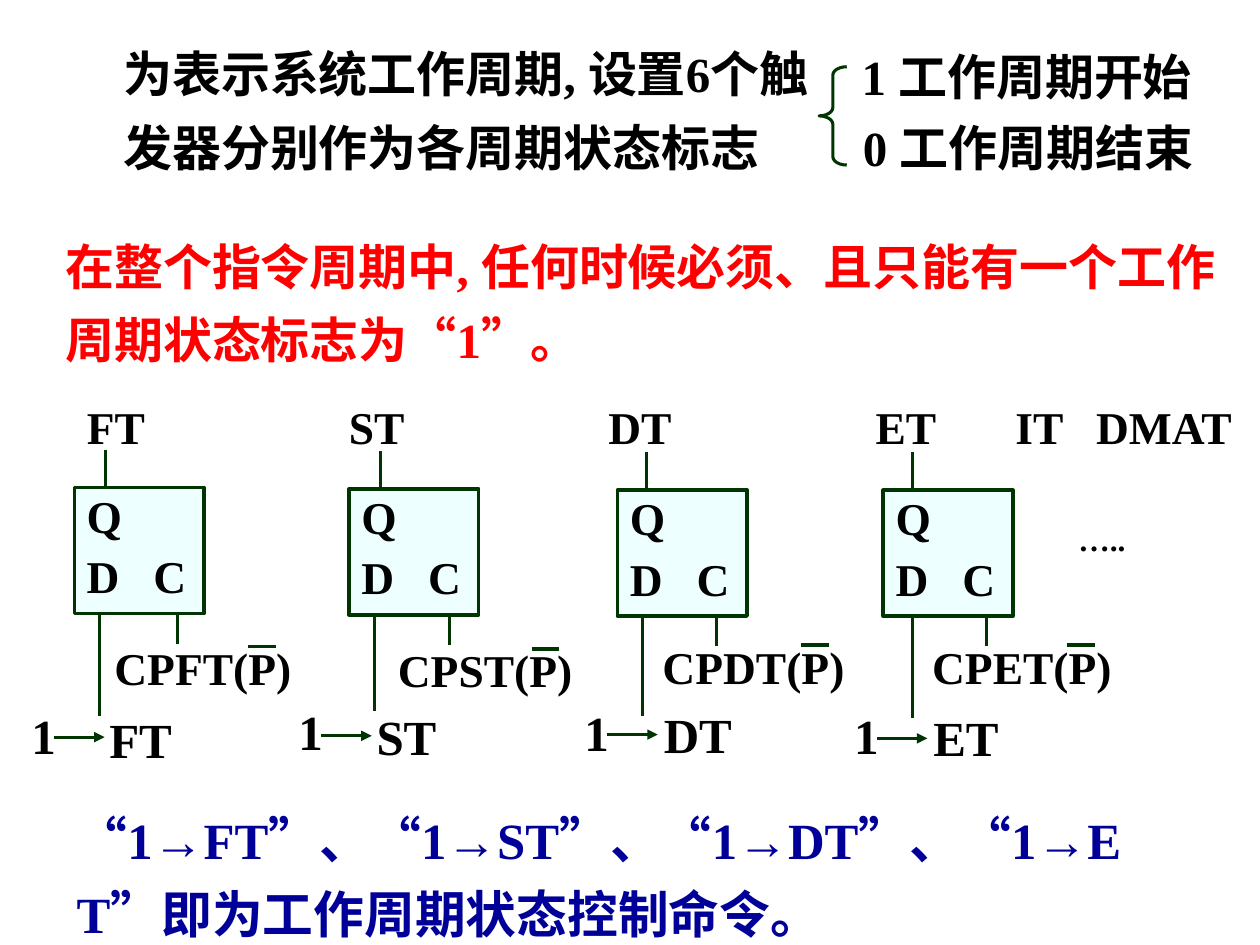
from lxml import etree
from pptx import Presentation
from pptx.dml.color import RGBColor
from pptx.enum.lang import MSO_LANGUAGE_ID
from pptx.enum.shapes import MSO_CONNECTOR, MSO_SHAPE
from pptx.enum.text import MSO_ANCHOR, PP_ALIGN
from pptx.oxml.ns import qn
from pptx.util import Inches, Pt

STRAIGHT = MSO_CONNECTOR.STRAIGHT
RECT = MSO_SHAPE.RECTANGLE
LEFT_BRACE = MSO_SHAPE.LEFT_BRACE
TOP = MSO_ANCHOR.TOP
LEFT = PP_ALIGN.LEFT
CHINESE = MSO_LANGUAGE_ID.SIMPLIFIED_CHINESE

BLACK = RGBColor(0x00, 0x00, 0x00)
RED = RGBColor(0xFF, 0x00, 0x00)
BLUE = RGBColor(0x00, 0x00, 0x99)
GREEN = RGBColor(0x00, 0x34, 0x00)
PALE = RGBColor(0xED, 0xFF, 0xFF)
FONT = "Times New Roman"

FLIP_FLOPS = [
    dict(name="FT", box=(0.59, 3.87), q=0.84, d=0.79, d_end=5.68, c=1.41,
         one=(0.15, 5.55), arrow_y=5.85, target=(0.77, 5.58),
         clock=(0.81, 5.03), bar=1.97),
    dict(name="ST", box=(2.77, 3.88), q=3.02, d=2.97, d_end=5.64, c=3.57,
         one=(2.27, 5.52), arrow_y=5.84, target=(2.89, 5.56),
         clock=(3.06, 5.05), bar=4.22),
    dict(name="DT", box=(4.9, 3.89), q=5.13, d=5.1, d_end=5.68, c=5.69,
         one=(4.54, 5.53), arrow_y=5.83, target=(5.17, 5.54),
         clock=(5.16, 5.02), bar=6.36),
    dict(name="ET", box=(7.01, 3.89), q=7.24, d=7.24, d_end=5.7, c=7.83,
         one=(6.68, 5.55), arrow_y=5.86, target=(7.31, 5.57),
         clock=(7.3, 5.02), bar=8.47),
]


def add_tabs(p, stops):
    tabs = etree.SubElement(p._p.get_or_add_pPr(), qn("a:tabLst"))
    for stop in stops:
        etree.SubElement(tabs, qn("a:tab"), pos=str(Inches(stop)), algn="l")


def write(p, text, size=26, color=BLACK, spacing=None, before=None, tabs=()):
    p.alignment = LEFT
    if spacing:
        p.line_spacing = spacing
    if before:
        p.space_before = before
    if tabs:
        add_tabs(p, tabs)
    r = p.add_run()
    r.text = text
    r.font.name = FONT
    r.font.size = Pt(size)
    r.font.bold = True
    r.font.color.rgb = color
    r.font.language_id = CHINESE


def add_text(slide, text, x, y, w, h, **fmt):
    tf = slide.shapes.add_textbox(Inches(x), Inches(y), Inches(w), Inches(h)).text_frame
    tf.word_wrap = True
    write(tf.paragraphs[0], text, **fmt)


def add_outline(slide, kind, x, y, w, h, width):
    sp = slide.shapes.add_shape(kind, Inches(x), Inches(y), Inches(w), Inches(h))
    sp.shadow.inherit = False
    sp.fill.background()
    sp.line.color.rgb = GREEN
    sp.line.width = Pt(width)
    return sp


def add_line(slide, x1, y1, x2, y2, width=1.75, arrow=False):
    line = slide.shapes.add_connector(STRAIGHT, Inches(x1), Inches(y1), Inches(x2), Inches(y2))
    line.line.color.rgb = GREEN
    line.line.width = Pt(width)
    if arrow:
        etree.SubElement(line.line._get_or_add_ln(), qn("a:tailEnd"), type="triangle")
    etree.SubElement(line._element.spPr, qn("a:effectLst"))


def add_flip_flop(slide, name, box, q, d, d_end, c, one, arrow_y, target, clock, bar):
    x, top = box
    bottom = top + 1
    sp = add_outline(slide, RECT, x, top, 1.03, 1, 2)
    sp.fill.solid()
    sp.fill.fore_color.rgb = PALE
    tf = sp.text_frame
    tf.vertical_anchor = TOP
    write(tf.paragraphs[0], "Q", spacing=0.9)
    write(tf.add_paragraph(), "D\tC", before=Pt(3), tabs=[0.53])

    add_line(slide, q, top, q, top - 0.3)
    add_line(slide, d, bottom, d, d_end)
    add_line(slide, c, bottom, c, bottom + 0.24)

    add_text(slide, "1", *one, 0.82, 0.57, size=28)
    arrow_x = one[0] + 0.28
    add_line(slide, arrow_x, arrow_y, arrow_x + 0.4, arrow_y, arrow=True)
    add_text(slide, name, *target, 0.9, 0.57, size=28)

    add_text(slide, f"CP{name}(P)", *clock, 1.77, 0.53)
    bar_y = clock[1] + 0.1
    add_line(slide, bar, bar_y, bar + 0.22, bar_y, width=2)


def main():
    prs = Presentation()
    prs.slide_width = Inches(10)
    prs.slide_height = Inches(7.5)
    slide = prs.slides.add_slide(prs.slide_layouts[6])

    add_text(slide, "为表示系统工作周期, 设置6个触发器分别作为各周期状态标志",
             0.88, 0.18, 6, 1.28, size=28, spacing=Pt(42))
    brace = add_outline(slide, LEFT_BRACE, 6.5, 0.53, 0.22, 0.78, 1.75)
    brace.adjustments[0] = 0.3
    add_text(slide, "1 工作周期开始", 6.74, 0.32, 3.06, 0.58, size=28)
    add_text(slide, "0 工作周期结束", 6.75, 0.88, 3.05, 0.58, size=28)
    add_text(slide, "在整个指令周期中, 任何时候必须、且只能有一个工作周期状态标志为“1”。",
             0.42, 1.71, 9.47, 1.22, size=28, color=RED, spacing=Pt(42))

    add_text(slide, "\tFT\tST\tDT\tET\tIT\tDMAT", 0.32, 3.12, 9.68, 0.53,
             tabs=[0.27, 2.35, 4.41, 6.53, 7.64, 8.28])
    for flip_flop in FLIP_FLOPS:
        add_flip_flop(slide, **flip_flop)
    add_text(slide, "…..", 8.46, 4.08, 0.95, 0.4, size=18)

    add_text(slide, "“1→FT”、“1→ST”、“1→DT”、“1→ET”即为工作周期状态控制命令。",
             0.51, 6.27, 8.58, 1.28, size=29, color=BLUE, spacing=Pt(42))
    prs.save("out.pptx")


main()
